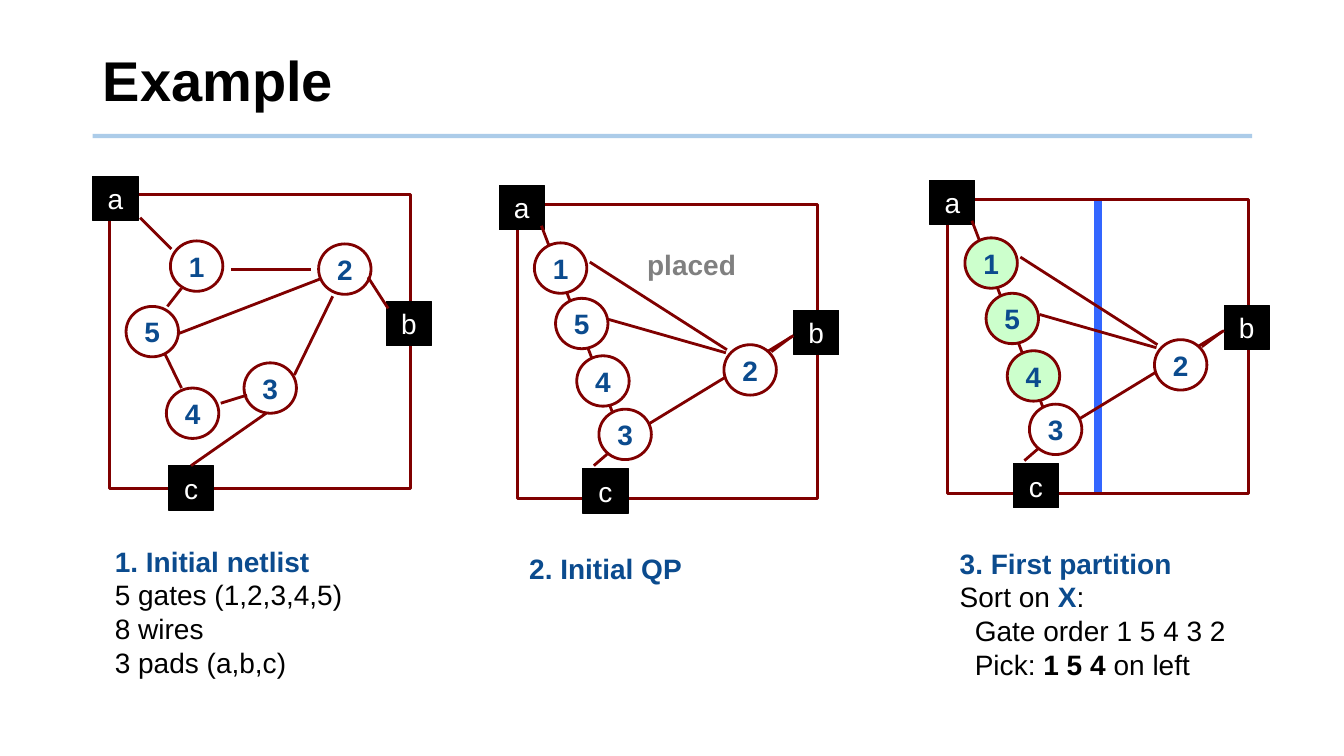
from dataclasses import dataclass

from pptx import Presentation
from pptx.dml.color import RGBColor
from pptx.enum.shapes import MSO_CONNECTOR, MSO_SHAPE
from pptx.enum.text import MSO_ANCHOR, PP_ALIGN
from pptx.oxml.ns import qn
from pptx.util import Inches, Pt
from lxml.etree import SubElement


@dataclass(frozen=True)
class Theme:
    font: str = "Arial"
    title_size: int = 40
    body_size: int = 20
    black: str = "000000"
    white: str = "FFFFFF"
    navy: str = "0B4B8E"
    maroon: str = "800000"
    grey: str = "808080"
    green: str = "CCFFCC"
    cut: str = "3366FF"
    rule: str = "5B9BD5"


T = Theme()
TOP, BOTTOM = 0, 2
FRAME_W, FRAME_H = 2.98, 2.92
GATE_W, GATE_H = 0.52, 0.5
PAD_W, PAD_H = 0.45, 0.44

# Places are offsets in inches from the top left corner of a chip frame.
NETLIST_GATES = {"1": (0.6, 0.46), "2": (2.07, 0.49), "3": (1.33, 1.67),
                 "4": (0.56, 1.92), "5": (0.16, 1.11)}
NETLIST_PADS = {"a": (-0.17, -0.18), "b": (2.74, 1.06), "c": (0.58, 2.69)}
NETLIST_WIRES = [
    ((1.2, 0.74), (1.99, 0.74)), ((1.83, 1.79), (2.21, 1.01)),
    ((1.1, 2.07), (1.36, 1.99)), ((1.55, 2.17), "c"),
    ((2.56, 0.82), (2.76, 1.13)), ((0.68, 1.38), (2.08, 0.84)),
    ((0.3, 0.23), (0.61, 0.54)), ((0.71, 0.93), (0.57, 1.11)),
    ((0.55, 1.59), (0.71, 1.92)),
]
PLACED_GATES = {"2": (2.05, 1.39), "3": (0.81, 2.03), "1": (0.17, 0.38),
                "5": (0.38, 0.93), "4": (0.59, 1.5)}
PLACED_PADS = {"a": (-0.18, -0.19), "b": (2.74, 1.05), "c": (0.65, 2.62)}
PLACED_WIRES = [
    ((0.91, 1.14), (2.07, 1.47)), ((1.15, 2.27), (2.74, 1.3)),
    ((0.91, 2.46), (0.76, 2.59)), ((2.52, 1.46), (2.72, 1.31)),
    ((0.24, 0.21), (1.02, 2.26)), ((0.72, 0.57), (2.08, 1.44)),
]


def rgb(color):
    return RGBColor.from_string(color)


def add_run(p, text, color, bold=False, size=T.body_size):
    r = p.add_run()
    r.text = text
    r.font.name, r.font.size, r.font.bold = T.font, Pt(size), bold
    r.font.color.rgb = rgb(color)


def add_line(s, start, end, color, width):
    line = s.shapes.add_connector(MSO_CONNECTOR.STRAIGHT,
                                  *(Inches(v) for v in (*start, *end)))
    line.line.color.rgb = rgb(color)
    line.line.width = Pt(width)
    SubElement(line._element.spPr, qn("a:effectLst"))
    return line


def add_outline(s, kind, x, y, w, h, fill, color, width):
    sp = s.shapes.add_shape(kind, Inches(x), Inches(y), Inches(w), Inches(h))
    sp.shadow.inherit = False
    if fill:
        sp.fill.solid()
        sp.fill.fore_color.rgb = rgb(fill)
    else:
        sp.fill.background()
    sp.line.color.rgb = rgb(color)
    sp.line.width = Pt(width)
    return sp


def add_label(sp, text, color, bold):
    tf = sp.text_frame
    tf.word_wrap = False
    tf.vertical_anchor = MSO_ANCHOR.MIDDLE
    p = tf.paragraphs[0]
    p.alignment = PP_ALIGN.CENTER
    add_run(p, text, color, bold)


def add_pad(s, name, x, y):
    sp = add_outline(s, MSO_SHAPE.RECTANGLE, x, y, PAD_W, PAD_H,
                     T.black, T.black, 0.75)
    add_label(sp, name, T.white, False)
    return sp


def add_gate(s, name, x, y, fill):
    sp = add_outline(s, MSO_SHAPE.OVAL, x, y, GATE_W, GATE_H, fill, T.maroon, 2)
    add_label(sp, name, T.navy, True)


def add_text(s, x, y, w, h, lines):
    """Each line is (indent in inches, [(text, color, bold), ...])."""
    tf = s.shapes.add_textbox(Inches(x), Inches(y), Inches(w), Inches(h)).text_frame
    tf.word_wrap = False
    for i, (indent, runs) in enumerate(lines):
        p = tf.add_paragraph() if i else tf.paragraphs[0]
        if indent:
            p._p.get_or_add_pPr().set("marL", str(Inches(indent)))
        for run in runs:
            add_run(p, *run)


def add_chip(s, x, y, gates, pads, wires, gate_fill=None, picked=(), cut=False):
    """Draw a chip with its frame's top left corner at x, y."""
    def at(place):
        return x + place[0], y + place[1]

    mid = FRAME_W / 2
    cut_line = add_line(s, at((mid, 0)), at((mid, FRAME_H)), T.cut, 6) if cut else None
    frame = add_outline(s, MSO_SHAPE.RECTANGLE, x, y, FRAME_W, FRAME_H,
                        None, T.maroon, 2.25)
    if cut_line is not None:
        cut_line.begin_connect(frame, TOP)
        cut_line.end_connect(frame, BOTTOM)
    pad_shapes = {name: add_pad(s, name, *at(place)) for name, place in pads.items()}
    for start, end in wires:
        pad = pad_shapes.get(end)
        line = add_line(s, at(start), at(start if pad else end), T.maroon, 2)
        if pad:
            line.end_connect(pad, TOP)
    for name, place in gates.items():
        add_gate(s, name, *at(place), T.green if name in picked else gate_fill)


def add_heading(s, x, y, w, h):
    title = s.shapes.title
    title.left, title.top, title.width, title.height = map(Inches, (x, y, w, h))
    tf = title.text_frame
    tf.word_wrap = True
    tf.vertical_anchor = MSO_ANCHOR.MIDDLE
    p = tf.paragraphs[0]
    p.alignment = PP_ALIGN.LEFT
    p.line_spacing = 0.9
    add_run(p, "Example", T.black, True, T.title_size)
    rule = add_line(s, (x, 1.35), (x + w, 1.35), T.rule, 3)
    color = rule._element.spPr.find(".//" + qn("a:srgbClr"))
    SubElement(color, qn("a:alpha"), val="50000")


def add_netlist(s, x, y):
    add_chip(s, x, y, NETLIST_GATES, NETLIST_PADS, NETLIST_WIRES)
    facts = ["5 gates (1,2,3,4,5)", "8 wires", "3 pads (a,b,c)"]
    add_text(s, x - 0.05, y + 3.42, 2.47, 1.45,
             [(0, [("1. Initial netlist", T.navy, True)])]
             + [(0, [(fact, T.black)]) for fact in facts])


def add_placement(s, x, y):
    add_chip(s, x, y, PLACED_GATES, PLACED_PADS, PLACED_WIRES, T.white)
    add_text(s, x + 1.19, y + 0.38, 1.09, 0.44, [(0, [("placed", T.grey, True)])])
    add_text(s, x + 0.02, y + 3.39, 1.72, 0.44,
             [(0, [("2. Initial QP", T.navy, True)])])


def add_partition(s, x, y):
    add_chip(s, x, y, PLACED_GATES, PLACED_PADS, PLACED_WIRES, T.white,
             picked="154", cut=True)
    add_text(s, x + 0.02, y + 3.39, 2.86, 1.45, [
        (0, [("3. First partition", T.navy, True)]),
        (0, [("Sort on ", T.black), ("X", T.navy, True), (":", T.black)]),
        (0.15, [("Gate order 1 5 4 3 2", T.black)]),
        (0.15, [("Pick: ", T.black), ("1 5 4", T.black, True),
                (" on left", T.black)]),
    ])


def main():
    prs = Presentation()
    prs.slide_width, prs.slide_height = Inches(13.33), Inches(7.5)
    s = prs.slides.add_slide(prs.slide_layouts[5])
    add_heading(s, 0.92, 0.28, 11.5, 1.1)
    add_netlist(s, 1.09, 1.93)
    add_placement(s, 5.13, 2.03)
    add_partition(s, 9.4, 1.98)
    prs.save("out.pptx")


if __name__ == "__main__":
    main()
